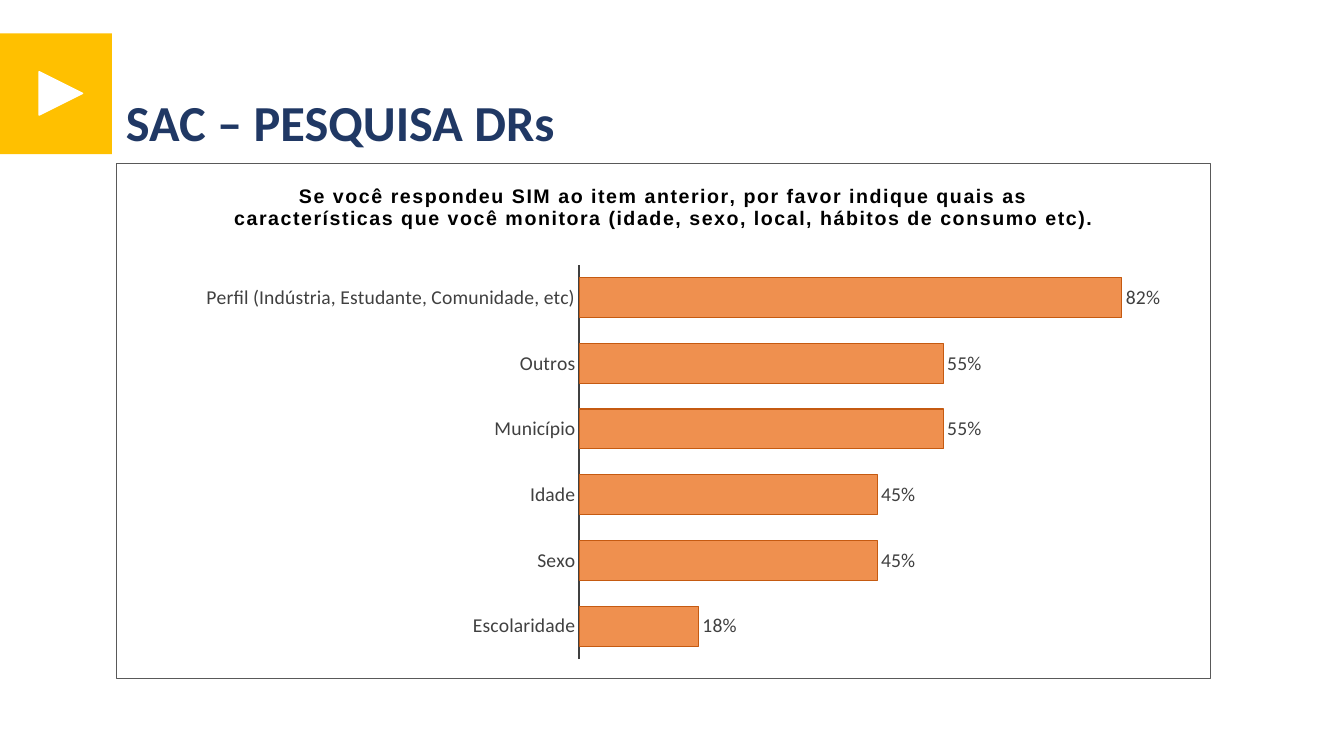
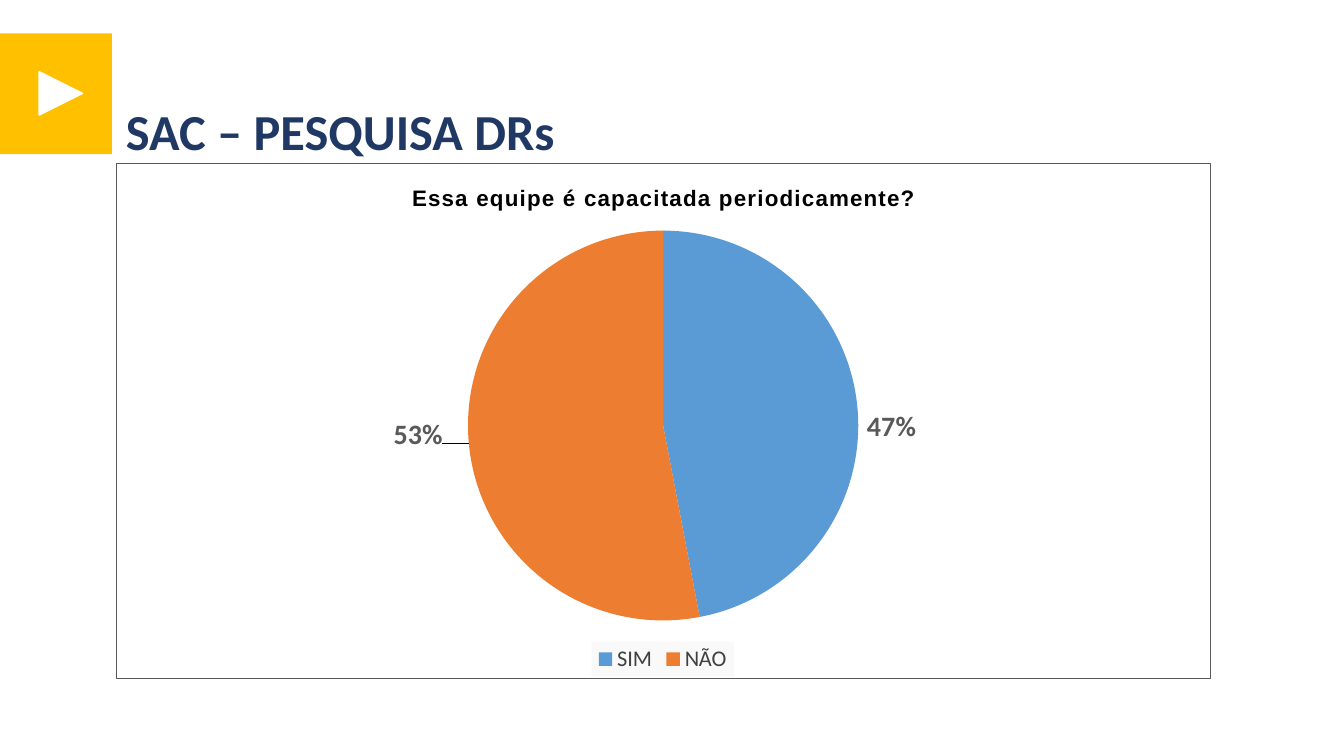
from dataclasses import dataclass

from pptx import Presentation
from pptx.chart.data import CategoryChartData
from pptx.dml.color import RGBColor
from pptx.enum.chart import XL_CHART_TYPE, XL_LABEL_POSITION, XL_LEGEND_POSITION, XL_TICK_MARK
from pptx.enum.shapes import MSO_SHAPE
from pptx.enum.text import MSO_ANCHOR, MSO_AUTO_SIZE, PP_ALIGN
from pptx.oxml import parse_xml
from pptx.oxml.ns import nsdecls, qn
from pptx.util import Pt


@dataclass(frozen=True)
class Theme:
    body_font: str = "Calibri"
    chart_title_font: str = "Arial"
    navy: str = "203864"
    gold: str = "FFC000"
    white: str = "FFFFFF"
    black: str = "000000"
    dark_gray: str = "404040"
    gray: str = "595959"
    pale_gray: str = "F9F9F9"
    blue: str = "5B9BD5"
    orange: str = "ED7D31"
    dark_orange: str = "C55A11"
    title_size: int = 36
    chart_size: int = 10
    axis_size: int = 14
    legend_size: int = 16
    percent_size: int = 20


@dataclass(frozen=True)
class Box:
    left: float
    top: float
    width: float
    height: float

    def lengths(self):
        return Pt(self.left), Pt(self.top), Pt(self.width), Pt(self.height)

    def inside(self, left, top, width, height):
        return Box(self.left + left, self.top + top, width, height)


THEME = Theme()
BADGE_BOX = Box(0, 23.8, 80, 86.4)
CHART_BOX = Box(82.8, 116.6, 782.6, 368.6)
TITLE = "SAC – PESQUISA DRs"


def color(name):
    return RGBColor.from_string(name)


def style_font(font, size, shade, name=THEME.body_font, bold=False):
    font.name = name
    font.size = Pt(size)
    font.bold = bold
    font.color.rgb = color(shade)


def paint(format_, shade):
    format_.fill.solid()
    format_.fill.fore_color.rgb = color(shade)


def outline(line, shade, width):
    line.color.rgb = color(shade)
    line.width = Pt(width)


def manual_layout(x, y, width=None, height=None, edge=False, inner=False):
    parts = []
    if inner:
        parts.append('<c:layoutTarget val="inner"/>')
    if edge:
        parts.append('<c:xMode val="edge"/><c:yMode val="edge"/>')
    parts.append(f'<c:x val="{x}"/><c:y val="{y}"/>')
    if width:
        parts.append(f'<c:w val="{width}"/><c:h val="{height}"/>')
    body = "".join(parts)
    return parse_xml(f'<c:layout {nsdecls("c")}><c:manualLayout>{body}</c:manualLayout></c:layout>')


def area_properties(fill, line=None, width=0):
    border = "<a:ln><a:noFill/></a:ln>"
    if line:
        border = (f'<a:ln w="{Pt(width)}"><a:solidFill><a:srgbClr val="{line}"/>'
                  '</a:solidFill></a:ln>')
    return parse_xml(f'<c:spPr {nsdecls("c", "a")}><a:solidFill><a:srgbClr val="{fill}"/>'
                     f'</a:solidFill>{border}</c:spPr>')


def add_badge(slide, box):
    square = slide.shapes.add_shape(MSO_SHAPE.RECTANGLE, *box.lengths())
    square.shadow.inherit = False
    paint(square, THEME.gold)
    square.line.fill.background()

    arrow_box = box.inside(28, 27.4, 31, 31)
    arrow = slide.shapes.add_shape(MSO_SHAPE.ISOSCELES_TRIANGLE, *arrow_box.lengths())
    arrow.shadow.inherit = False
    arrow.rotation = 90
    paint(arrow, THEME.white)
    outline(arrow.line, THEME.white, 1)


def place_title(slide, box):
    title = slide.shapes.title
    title.left, title.top, title.width, title.height = box.lengths()
    frame = title.text_frame
    frame.text = TITLE
    frame.auto_size = MSO_AUTO_SIZE.NONE
    frame.vertical_anchor = MSO_ANCHOR.TOP
    paragraph = frame.paragraphs[0]
    paragraph.alignment = PP_ALIGN.LEFT
    paragraph.line_spacing = 0.9
    style_font(paragraph.font, THEME.title_size, THEME.navy, bold=True)


def add_survey_slide(presentation, title_top):
    slide = presentation.slides.add_slide(presentation.slide_layouts[5])
    add_badge(slide, BADGE_BOX)
    place_title(slide, Box(CHART_BOX.left, title_top, 676.8, 38.9))
    return slide


def add_survey_chart(slide, box, kind, question, question_size, answers, plot_layout):
    data = CategoryChartData(number_format="0%" if kind == XL_CHART_TYPE.BAR_CLUSTERED else "General")
    data.categories = list(answers)
    data.add_series("Series 1", list(answers.values()))
    chart = slide.shapes.add_chart(kind, *box.lengths(), data).chart
    style_font(chart.font, THEME.chart_size, THEME.black)
    chart.element.find(qn("c:txPr")).addprevious(
        area_properties(THEME.white, THEME.gray, 0.75))

    chart.has_title = True
    frame = chart.chart_title.text_frame
    frame.text = question
    run = frame.paragraphs[0].runs[0]
    style_font(run.font, question_size, THEME.black, THEME.chart_title_font, True)
    run.font._element.set("spc", "100")

    plot_area = chart.element.chart.plotArea
    for layout in plot_area.findall(qn("c:layout")):
        plot_area.remove(layout)
    plot_area.insert(0, manual_layout(*plot_layout, edge=True, inner=True))
    return chart


def add_bar_chart(slide, box, question, answers):
    chart = add_survey_chart(slide, box, XL_CHART_TYPE.BAR_CLUSTERED, question, 14,
                             answers, (0.423, 0.196, 0.544, 0.766))
    chart.has_legend = False

    categories = chart.category_axis
    categories.reverse_order = True
    categories.has_major_gridlines = False
    categories.major_tick_mark = XL_TICK_MARK.NONE
    categories.minor_tick_mark = XL_TICK_MARK.NONE
    style_font(categories.tick_labels.font, THEME.axis_size, THEME.dark_gray)
    outline(categories.format.line, THEME.dark_gray, 1.5)

    values = chart.value_axis
    values.minimum_scale, values.maximum_scale = 0, 0.9
    values.has_major_gridlines = False
    values.visible = False

    plot = chart.plots[0]
    plot.gap_width = 65
    plot.vary_by_categories = False
    series = plot.series[0]
    paint(series.format, THEME.orange)
    outline(series.format.line, THEME.dark_orange, 0.75)
    fill_color = series.format.fill._xPr.find(qn("a:solidFill"))[0]
    fill_color.append(parse_xml(f'<a:alpha {nsdecls("a")} val="85000"/>'))

    labels = series.data_labels
    labels.show_value = True
    labels.number_format = "0%"
    labels.number_format_is_linked = False
    labels.position = XL_LABEL_POSITION.OUTSIDE_END
    style_font(labels.font, THEME.axis_size, THEME.dark_gray)


def add_pie_chart(slide, box, question, answers, label_offsets):
    chart = add_survey_chart(slide, box, XL_CHART_TYPE.PIE, question, 16,
                             answers, (0.321, 0.13, 0.357, 0.757))
    chart.has_legend = True
    legend = chart.legend
    legend.position = XL_LEGEND_POSITION.BOTTOM
    legend.include_in_layout = False
    style_font(legend.font, THEME.legend_size, THEME.dark_gray)
    legend_element = chart.element.chart.find(qn("c:legend"))
    for layout in legend_element.findall(qn("c:layout")):
        legend_element.remove(layout)
    legend_element.find(qn("c:legendPos")).addnext(
        manual_layout(0.434, 0.928, 0.13, 0.068, edge=True))
    legend_element.find(qn("c:txPr")).addprevious(area_properties(THEME.pale_gray))

    plot = chart.plots[0]
    plot.vary_by_categories = True
    series = plot.series[0]
    labels = series.data_labels
    labels.show_value = False
    labels.show_percentage = True
    labels.position = XL_LABEL_POSITION.CENTER
    style_font(labels.font, THEME.percent_size, THEME.gray, bold=True)
    for index, shade in enumerate((THEME.blue, THEME.orange)):
        point = series.points[index]
        paint(point.format, shade)
        point.data_label.position = XL_LABEL_POSITION.CENTER
        style_font(point.data_label.font, THEME.percent_size, THEME.gray, bold=True)

    for label, offset in zip(chart.element.iter(qn("c:dLbl")), label_offsets):
        label.find(qn("c:idx")).addnext(manual_layout(*offset))
        label.find(qn("c:showVal")).set("val", "0")
        label.find(qn("c:showPercent")).set("val", "1")


def main():
    presentation = Presentation()
    presentation.slide_width = Pt(960)
    presentation.slide_height = Pt(540)

    add_bar_chart(
        add_survey_slide(presentation, 66.6), CHART_BOX,
        "Se você respondeu SIM ao item anterior, por favor indique quais as "
        "características que você monitora (idade, sexo, local, hábitos de consumo etc).",
        {
            "Perfil (Indústria, Estudante, Comunidade, etc)": 0.82,
            "Outros": 0.55,
            "Município": 0.55,
            "Idade": 0.45,
            "Sexo": 0.45,
            "Escolaridade": 0.18,
        })
    add_pie_chart(
        add_survey_slide(presentation, 72.6), CHART_BOX,
        "Essa equipe é capacitada periodicamente?",
        {"SIM": 47, "NÃO": 53},
        ((0.12, 0.02), (-0.135, 0)))

    presentation.save("out.pptx")


if __name__ == "__main__":
    main()
